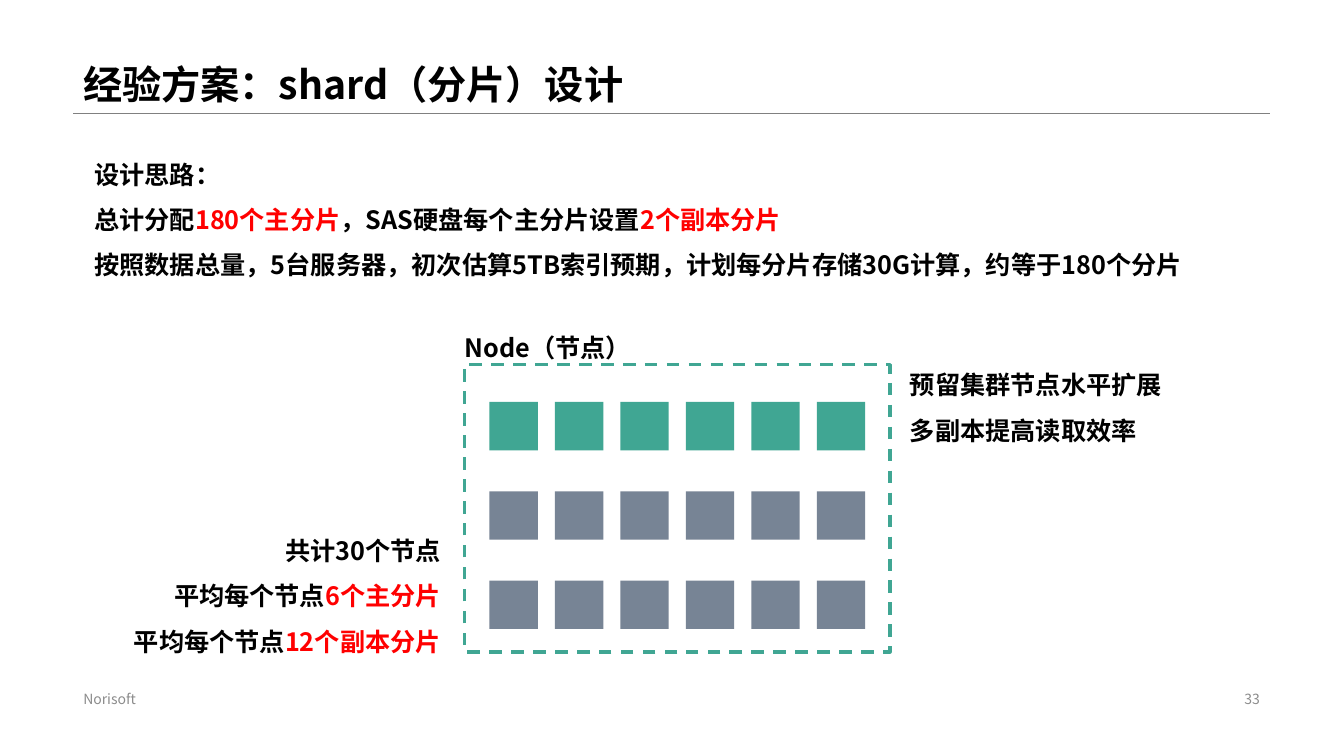
from lxml.etree import SubElement
from pptx import Presentation
from pptx.dml.color import RGBColor
from pptx.enum.dml import MSO_LINE
from pptx.enum.shapes import MSO_CONNECTOR, MSO_SHAPE
from pptx.enum.text import MSO_ANCHOR, PP_ALIGN
from pptx.oxml.ns import qn
from pptx.util import Cm, Pt

FONT = "Noto Sans CJK SC"
BLACK, RED, GREY = "000000", "FF0000", "8C8C8C"
GREEN, SLATE, RULE = "40A693", "778495", "808080"


def color(value):
    return RGBColor.from_string(value)


def add_text(page, box, lines, size=18, bold=True, spacing=1.5,
             align=PP_ALIGN.LEFT, anchor=MSO_ANCHOR.TOP):
    """Place lines in a box (cm); each line is a list of (text, colour) spans."""
    frame = page.shapes.add_textbox(*map(Cm, box)).text_frame
    frame.word_wrap = True
    frame.vertical_anchor = anchor
    for index, line in enumerate(lines):
        para = frame.paragraphs[0] if index == 0 else frame.add_paragraph()
        para.alignment = align
        para.line_spacing = spacing
        for text, ink in line:
            span = para.add_run()
            span.text = text
            span.font.size = Pt(size)
            span.font.bold = bold
            span.font.color.rgb = color(ink)
            span.font.name = FONT
            SubElement(span.font._element, qn("a:ea"), typeface=FONT)


def add_rectangle(page, box, fill=None, outline=None):
    shape = page.shapes.add_shape(MSO_SHAPE.RECTANGLE, *map(Cm, box))
    shape.shadow.inherit = False
    if fill:
        shape.fill.solid()
        shape.fill.fore_color.rgb = color(fill)
    else:
        shape.fill.background()
    if outline:
        shape.line.color.rgb = color(outline)
        shape.line.width = Pt(2.25)
        shape.line.dash_style = MSO_LINE.DASH
    else:
        shape.line.fill.background()


def add_header(page, box, title):
    left, top, width, height = box
    bottom = top + height
    rule = page.shapes.add_connector(
        MSO_CONNECTOR.STRAIGHT, Cm(left), Cm(bottom), Cm(left + width), Cm(bottom))
    rule.line.color.rgb = color(RULE)
    rule.line.width = Pt(0.25)
    SubElement(rule._element.spPr, qn("a:effectLst"))
    add_text(page, box, [[(title, BLACK)]], size=28, spacing=0.9,
             anchor=MSO_ANCHOR.BOTTOM)


def add_footer(page, box, owner, number):
    left, top, width, height = box
    number_width = 8.08
    style = dict(size=10, bold=False, spacing=1, anchor=MSO_ANCHOR.MIDDLE)
    add_text(page, (left, top, 11.5, height), [[(owner, GREY)]], **style)
    add_text(page, (left + width - number_width, top, number_width, height),
             [[(number, GREY)]], align=PP_ALIGN.RIGHT, **style)


def add_design_idea(page, box):
    add_text(page, box, [
        [("设计思路：", BLACK)],
        [("总计分配", BLACK), ("180个主分片", RED),
         ("，SAS硬盘每个主分片设置", BLACK), ("2个副本分片", RED)],
        [("按照数据总量，5台服务器，初次估算5TB索引预期，"
          "计划每分片存储30G计算，约等于180个分片", BLACK)],
    ])


def add_node(page, box):
    """Draw the dashed node with one row of primary and two of replica shards."""
    left, top, width, height = box
    add_rectangle(page, box, outline=GREEN)
    add_text(page, (left - 0.25, top - 1.32, width + 0.53, 1.42),
             [[("Node（节点）", BLACK)]])
    side, column_step, row_step, columns = 1.22, 1.65, 2.25, 6
    first_left = left + (width - side - (columns - 1) * column_step) / 2
    first_top = top + 0.94
    for row, fill in enumerate((GREEN, SLATE, SLATE)):
        for column in range(columns):
            add_rectangle(page, (first_left + column * column_step,
                                 first_top + row * row_step, side, side), fill)


def add_node_notes(page, node):
    """Put the shard counts left of the node and the benefits right of it."""
    left, top, width, height = node
    note_width = 8.74
    add_text(page, (left - 0.35 - note_width, top + 3.79, note_width, 3.71), [
        [("共计30个节点", BLACK)],
        [("平均每个节点", BLACK), ("6个主分片", RED)],
        [("平均每个节点", BLACK), ("12个副本分片", RED)],
    ], align=PP_ALIGN.RIGHT)
    add_text(page, (left + width + 0.25, top - 0.38, note_width, 2.57), [
        [("预留集群节点水平扩展", BLACK)],
        [("多副本提高读取效率", BLACK)],
    ])


def main():
    deck = Presentation()
    deck.slide_width, deck.slide_height = Cm(33.87), Cm(19.05)
    page = deck.slides.add_slide(deck.slide_layouts[6])
    margin, content_width = 1.85, 30.15
    node = (11.71, 9.19, 10.72, 7.24)
    add_header(page, (margin, 0, content_width, 2.84), "经验方案：shard（分片）设计")
    add_footer(page, (margin, 17.32, content_width, 0.58), "Norisoft", "33")
    add_design_idea(page, (2.13, 3.5, 29.87, 3.71))
    add_node(page, node)
    add_node_notes(page, node)
    deck.save("out.pptx")


if __name__ == "__main__":
    main()
